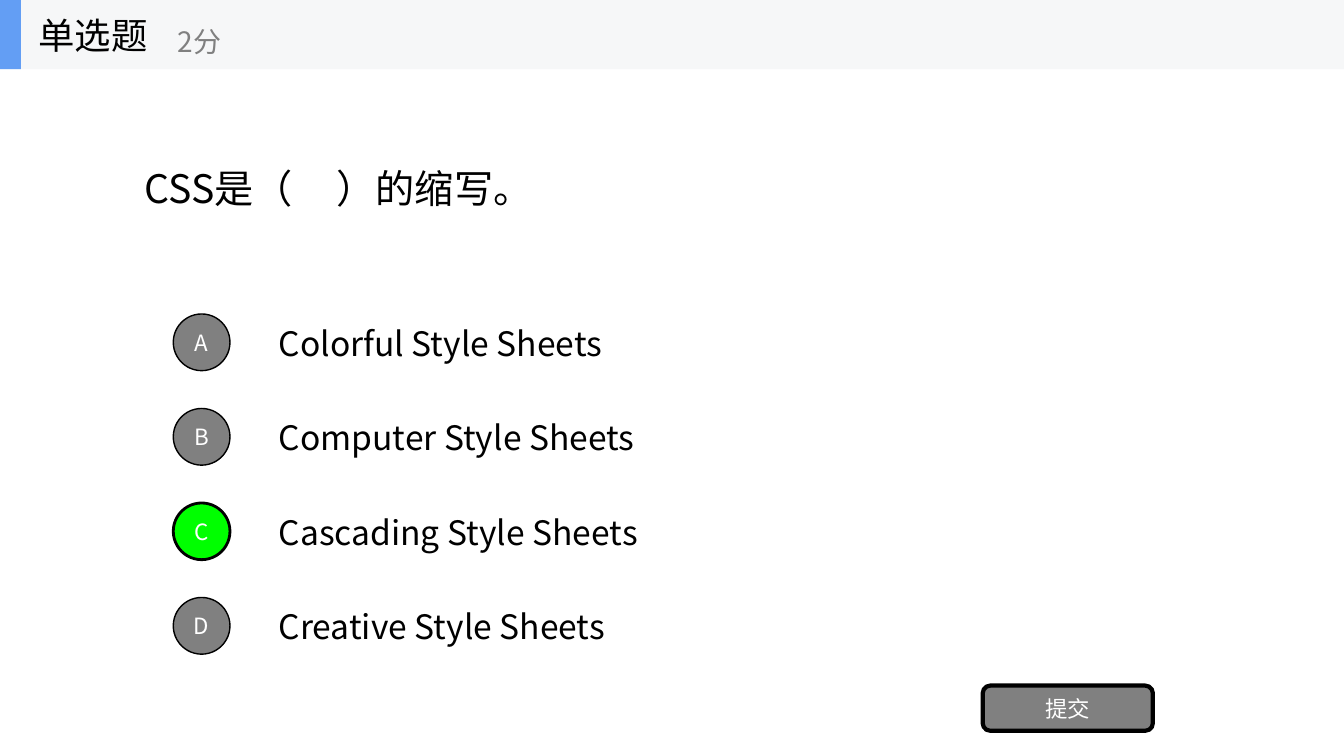
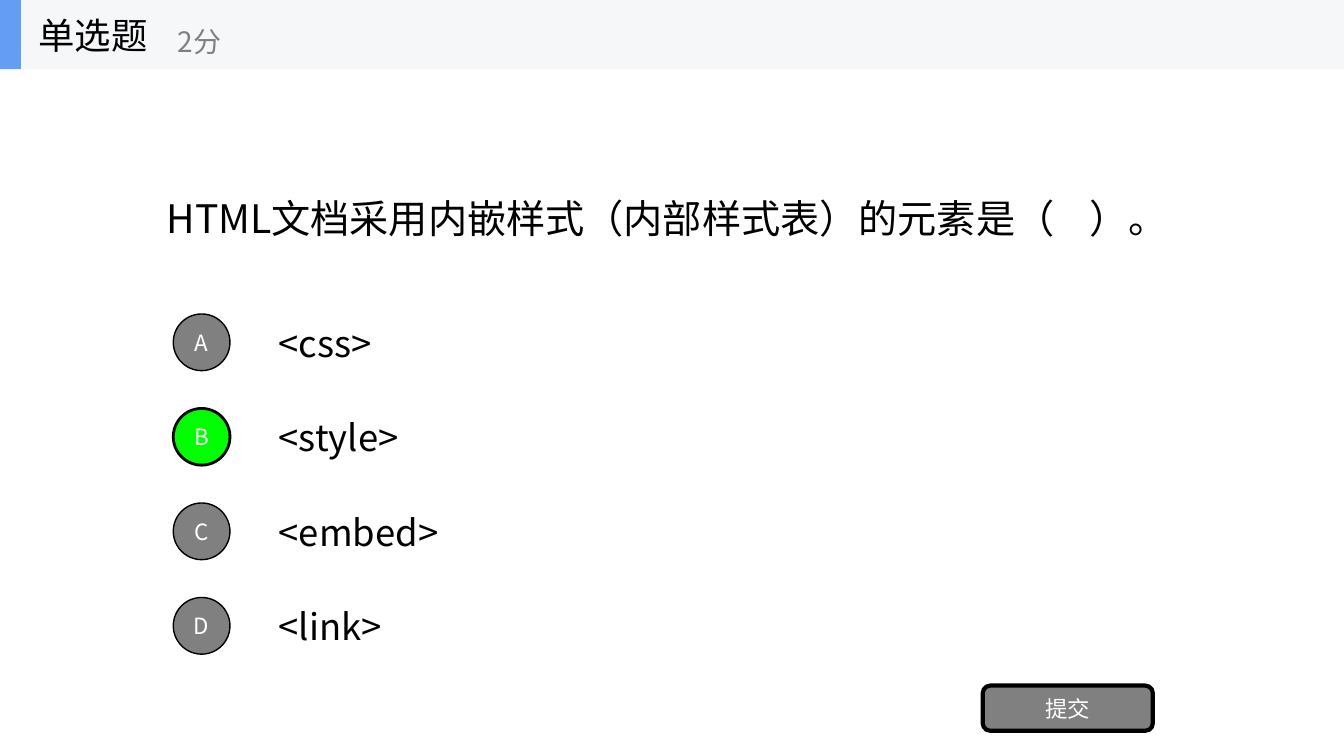
from dataclasses import dataclass

from lxml.etree import SubElement
from pptx import Presentation
from pptx.dml.color import RGBColor
from pptx.enum.shapes import MSO_SHAPE as Preset
from pptx.enum.text import MSO_ANCHOR as Anchor, MSO_AUTO_SIZE as AutoSize, PP_ALIGN as Align
from pptx.oxml.ns import qn
from pptx.util import Emu, Pt

EMU_PER_PX = 9525
TITLE_ONLY = 5


@dataclass(frozen=True)
class Theme:
    font: str = "Noto Sans CJK SC"
    ink: str = "000000"
    paper: str = "FFFFFF"
    muted: str = "808080"
    correct: str = "00FF00"
    band: str = "F6F7F8"
    accent: str = "639EF4"
    question_size: int = 28
    heading_size: int = 26
    points_size: int = 20
    button_size: int = 16


@dataclass(frozen=True)
class Box:
    left: int
    top: int
    width: int
    height: int

    def inner(self, left, top, width, height):
        return Box(self.left + left, self.top + top, width, height)

    def emu(self):
        return [Emu(px * EMU_PER_PX) for px in (self.left, self.top, self.width, self.height)]


@dataclass(frozen=True)
class Quiz:
    question: str
    question_box: Box
    options: tuple
    answer: int
    option_size: int


THEME = Theme()
PAGE = Box(0, 0, 1280, 720)
HEADER = PAGE.inner(0, 0, 1280, 66)
OPTIONS = PAGE.inner(165, 293, 987, 337)
SUBMIT = PAGE.inner(936, 653, 162, 43)
ROW_STEP = 90
ROW_HEIGHT = 67
MARK_SIZE = 54

QUIZZES = (
    Quiz("CSS是（     ）的缩写。", Box(128, 66, 1024, 225),
         ("Colorful Style Sheets", "Computer Style Sheets",
          "Cascading Style Sheets", "Creative Style Sheets"), 2, 24),
    Quiz("HTML文档采用内嵌样式（内部样式表）的元素是（    ）。", Box(149, 147, 1024, 121),
         ("<css>", "<style>", "<embed>", "<link>"), 1, 26),
)


def write(shape, text, size, color, align=Align.LEFT):
    frame = shape.text_frame
    frame.word_wrap = True
    frame.auto_size = AutoSize.NONE
    frame.vertical_anchor = Anchor.MIDDLE
    para = frame.paragraphs[0]
    para.text = text
    para.alignment = align
    font = para.font
    font.size = Pt(size)
    font.color.rgb = RGBColor.from_string(color)
    font.name = THEME.font
    defaults = para._p.pPr.find(qn("a:defRPr"))
    SubElement(defaults, qn("a:ea")).set("typeface", THEME.font)


def add_label(shapes, box, text, size, color=THEME.ink):
    write(shapes.add_textbox(*box.emu()), text, size, color)


def add_block(shapes, preset, box, fill, line_width=0):
    shape = shapes.add_shape(preset, *box.emu())
    shape.shadow.inherit = False
    shape.fill.solid()
    shape.fill.fore_color.rgb = RGBColor.from_string(fill)
    if line_width:
        shape.line.color.rgb = RGBColor.from_string(THEME.ink)
        shape.line.width = Pt(line_width)
    else:
        shape.line.fill.background()
    return shape


def add_button(shapes, preset, box, text, fill, line_width):
    button = add_block(shapes, preset, box, fill, line_width)
    frame = button.text_frame
    frame.margin_left = frame.margin_right = frame.margin_top = frame.margin_bottom = 0
    write(button, text, THEME.button_size, THEME.paper, Align.CENTER)


def add_header(page, box):
    shapes = page.shapes.add_group_shape().shapes
    add_block(shapes, Preset.RECTANGLE, box, THEME.band)
    add_block(shapes, Preset.RECTANGLE, box.inner(0, 0, 20, box.height), THEME.accent)
    add_label(shapes, box.inner(27, 0, 200, box.height), "单选题", THEME.heading_size)
    add_label(shapes, box.inner(160, 12, 240, 54), "2分", THEME.points_size, THEME.muted)


def add_question(page, box, text):
    title = page.shapes.title
    title.left, title.top, title.width, title.height = box.emu()
    write(title, text, THEME.question_size, THEME.ink)


def add_options(page, box, quiz):
    for row, (letter, option) in enumerate(zip("ABCD", quiz.options)):
        top = row * ROW_STEP
        label_box = box.inner(91, top, box.width - 91, ROW_HEIGHT)
        mark_box = box.inner(0, top + (ROW_HEIGHT - MARK_SIZE) // 2, MARK_SIZE, MARK_SIZE)
        fill, line_width = (THEME.correct, 2) if row == quiz.answer else (THEME.muted, 1)
        add_label(page.shapes, label_box, option, quiz.option_size)
        add_button(page.shapes, Preset.OVAL, mark_box, letter, fill, line_width)


def add_quiz_page(deck, box, quiz):
    page = deck.slides.add_slide(deck.slide_layouts[TITLE_ONLY])
    page.background.fill.solid()
    page.background.fill.fore_color.rgb = RGBColor.from_string(THEME.paper)
    question = quiz.question_box
    add_question(page, box.inner(question.left, question.top, question.width, question.height),
                 quiz.question)
    add_options(page, OPTIONS, quiz)
    add_button(page.shapes, Preset.ROUNDED_RECTANGLE, SUBMIT, "提交", THEME.muted, 3)
    add_header(page, HEADER)


def main():
    deck = Presentation()
    deck.slide_width, deck.slide_height = PAGE.emu()[2:]
    for quiz in QUIZZES:
        add_quiz_page(deck, PAGE, quiz)
    deck.save("out.pptx")


if __name__ == "__main__":
    main()
